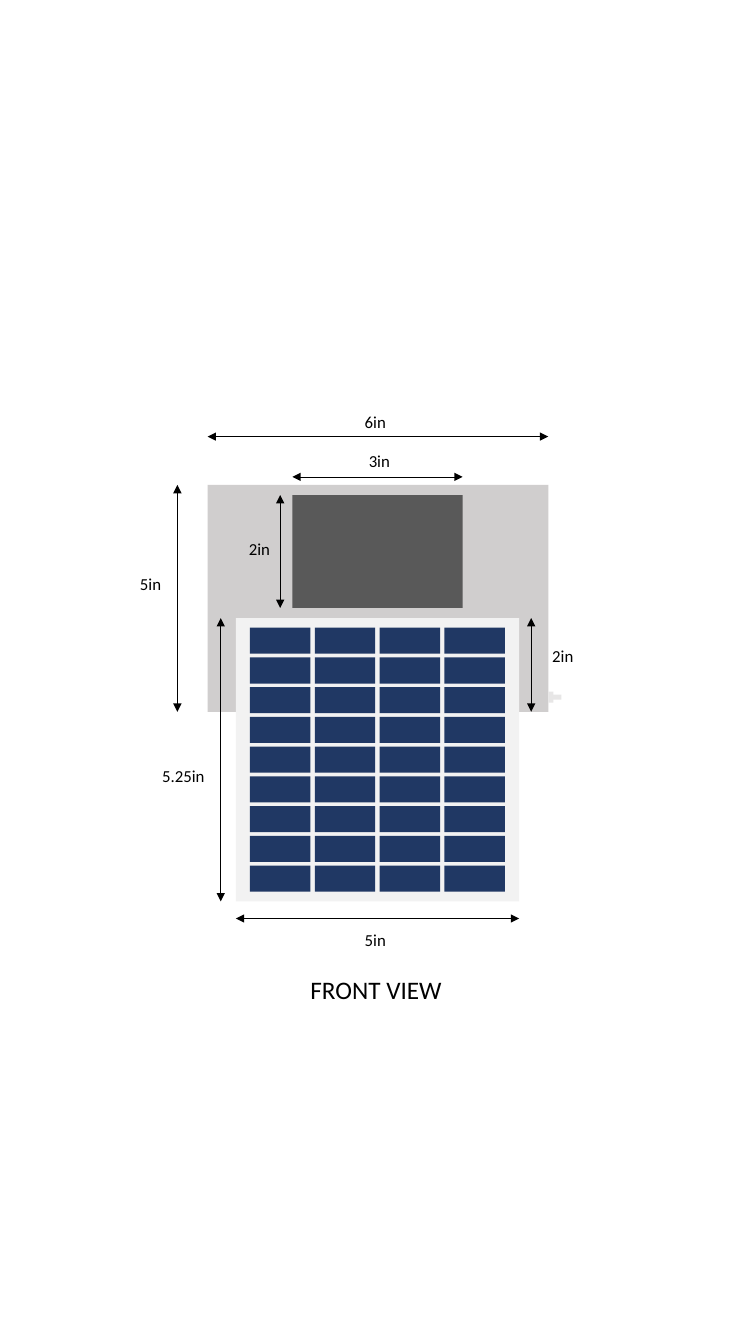
import dataclasses

import lxml.etree
import pptx
import pptx.dml.color
import pptx.enum.shapes
import pptx.enum.text
import pptx.oxml.ns
import pptx.util

Inches = pptx.util.Inches
Pt = pptx.util.Pt


@dataclasses.dataclass(frozen=True)
class Theme:
    font: str = "Calibri"
    ink: str = "000000"
    housing: str = "D0CECE"
    screen: str = "595959"
    plug: str = "E7E6E6"
    panel: str = "F2F2F2"
    cell: str = "203864"
    label_size: int = 12
    title_size: int = 18
    line_width: float = 0.5


THEME = Theme()


def rgb(value):
    return pptx.dml.color.RGBColor.from_string(value)


def set_all(target, values):
    for name, value in values.items():
        setattr(target, name, value)


def add_block(shapes, box, color):
    """Add a plain filled rectangle."""
    block = shapes.add_shape(
        pptx.enum.shapes.MSO_SHAPE.RECTANGLE, *map(Inches, box))
    block.shadow.inherit = False
    block.fill.solid()
    block.fill.fore_color.rgb = rgb(color)
    block.line.fill.background()
    return block


def write_text(shape, text, size):
    """Write one line of text that does not wrap."""
    frame = shape.text_frame
    set_all(frame, {
        "word_wrap": False,
        "auto_size": pptx.enum.text.MSO_AUTO_SIZE.SHAPE_TO_FIT_TEXT,
        "vertical_anchor": pptx.enum.text.MSO_ANCHOR.TOP,
    })
    para = frame.paragraphs[0]
    para.alignment = pptx.enum.text.PP_ALIGN.LEFT
    span = para.add_run()
    span.text = text
    set_all(span.font, {"name": THEME.font, "size": Pt(size)})
    span.font.color.rgb = rgb(THEME.ink)


def add_dimension(page, start, end, text, label_box):
    """Add a double-headed arrow and its measurement."""
    arrow = page.shapes.add_connector(
        pptx.enum.shapes.MSO_CONNECTOR.STRAIGHT, *map(Inches, start + end))
    arrow.line.width = Pt(THEME.line_width)
    arrow.line.color.rgb = rgb(THEME.ink)
    qn = pptx.oxml.ns.qn
    properties = arrow.element.spPr
    outline = properties.find(qn("a:ln"))
    for tag in ("a:headEnd", "a:tailEnd"):
        lxml.etree.SubElement(outline, qn(tag), type="triangle")
    lxml.etree.SubElement(properties, qn("a:effectLst"))

    label = page.shapes.add_textbox(*map(Inches, label_box))
    write_text(label, text, THEME.label_size)


def add_panel(page, box):
    """Add the solar panel with its grid of cells."""
    left, top, width, height = box
    columns, rows = 4, 9
    cell_width, cell_height = 0.6, 0.26
    margin_x, margin_y = 0.14, 0.095
    step_x = (width - 2 * margin_x - cell_width) / (columns - 1)
    step_y = (height - 2 * margin_y - cell_height) / (rows - 1)
    panel = page.shapes.add_group_shape()
    add_block(panel.shapes, box, THEME.panel)
    for row in range(rows):
        for column in range(columns):
            cell_box = (left + margin_x + column * step_x,
                        top + margin_y + row * step_y,
                        cell_width, cell_height)
            add_block(panel.shapes, cell_box, THEME.cell)


def add_plug(page, box):
    """Add the cable plug: a flange and a narrower tip."""
    left, top, width, height = box
    add_block(page.shapes, (left, top, 0.05, height), THEME.plug)
    add_block(page.shapes,
              (left + 0.04, top + 0.03, width - 0.04, 0.05), THEME.plug)


def add_dimensions(page, housing, screen, panel):
    """Measure the parts from their edges."""
    def edges(box):
        left, top, width, height = box
        return left, top, left + width, top + height

    h_left, h_top, h_right, h_bottom = edges(housing)
    s_left, s_top, s_right, s_bottom = edges(screen)
    p_left, p_top, p_right, p_bottom = edges(panel)

    # Vertical: x, top, bottom, text, label position and width
    for x, top, bottom, text, label_x, label_y, label_width in (
        (h_left - 0.3, h_top, h_bottom, "5in", 1.29, 5.64, 0.41),
        (p_left - 0.15, p_top, p_bottom, "5.25in", 1.51, 7.55, 0.63),
        (s_left - 0.12, s_top, s_bottom, "2in", 2.37, 5.29, 0.41),
        (p_right + 0.12, p_top, h_bottom, "2in", 5.38, 6.36, 0.41),
    ):
        add_dimension(page, (x, top), (x, bottom), text,
                      (label_x, label_y, label_width, 0.3))

    # Horizontal: y, left, right, text, label position
    for y, left, right, text, label_x, label_y in (
        (s_top - 0.18, s_left, s_right, "3in", 3.56, 4.42),
        (h_top - 0.48, h_left, h_right, "6in", 3.52, 4.03),
        (p_bottom + 0.17, p_left, p_right, "5in", 3.52, 9.17),
    ):
        add_dimension(page, (right, y), (left, y), text,
                      (label_x, label_y, 0.41, 0.3))


def add_title(page, box):
    """Place the view name below the drawing."""
    title = page.shapes.title
    names = ("left", "top", "width", "height")
    set_all(title, dict(zip(names, map(Inches, box))))
    write_text(title, "FRONT VIEW", THEME.title_size)


def add_front_view(page, box):
    """Draw the device inside the given box."""
    left, top, width, height = box
    housing = (left, top, width, 2.25)
    panel = (left + 0.28, top + height - 2.81, 2.81, 2.81)
    screen = (left + 0.84, top + 0.1, 1.69, 1.12)
    add_block(page.shapes, housing, THEME.housing)
    add_panel(page, panel)
    add_block(page.shapes, screen, THEME.screen)
    add_plug(page, (left + width, top + 2.05, 0.13, 0.11))
    add_dimensions(page, housing, screen, panel)


def main():
    deck = pptx.Presentation()
    set_all(deck, {"slide_width": Inches(7.5), "slide_height": Inches(13.33)})
    page = deck.slides.add_slide(deck.slide_layouts.get_by_name("Title Only"))
    add_front_view(page, (2.06, 4.81, 3.38, 4.13))
    add_title(page, (2.98, 9.61, 1.54, 0.4))
    deck.save("out.pptx")


if __name__ == "__main__":
    main()
